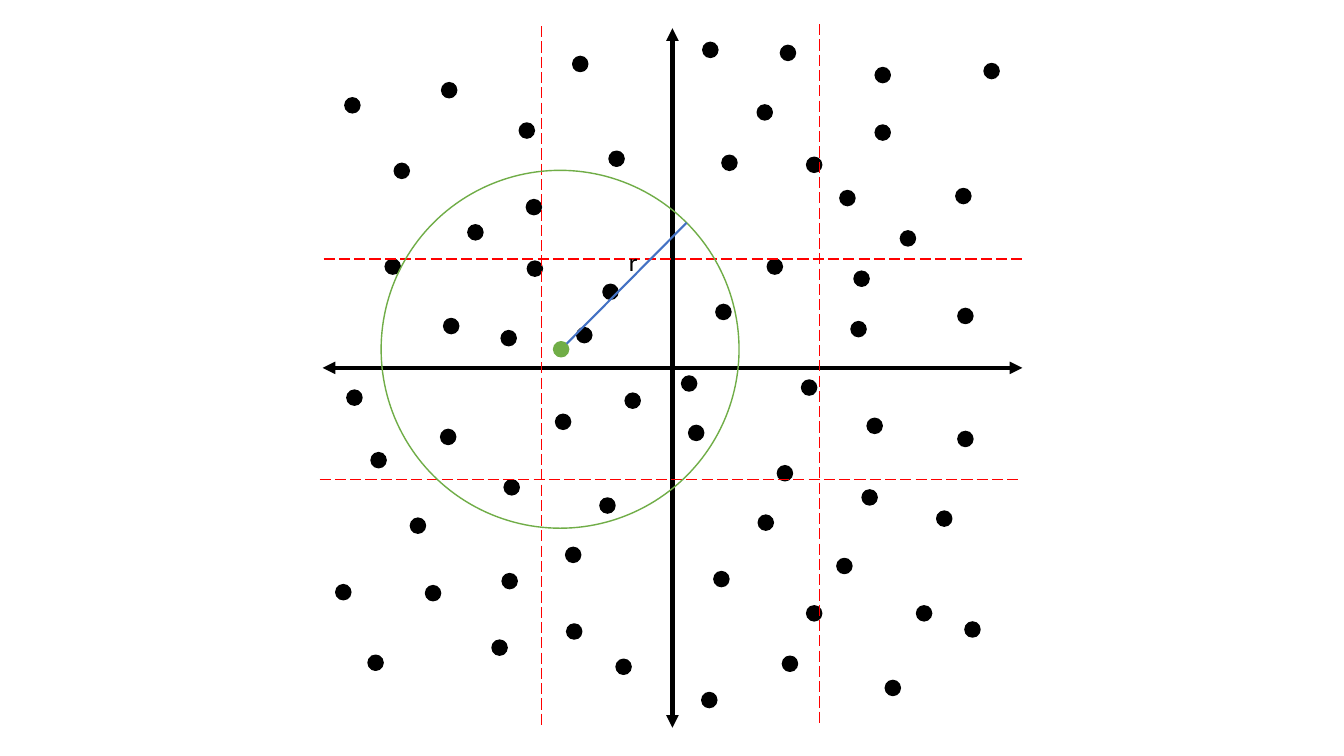
"""Build a slide showing a radius search around one point on a gridded plane."""
import pptx
import pptx.dml.color
import pptx.enum.dml
import pptx.enum.shapes
import pptx.enum.text
import pptx.oxml
import pptx.oxml.ns
import pptx.util

COLORS = {"ink": "000000", "split": "FF0000", "query": "70AD47", "radius": "4472C4"}
UNIT = 2.54
DOT = 0.15

AXES = [(6.67, 0.28, 6.67, 7.22), (3.2, 3.65, 10.14, 3.65)]
SPLITS = [
    (5.37, 0.26, 5.37, 7.2), (3.17, 4.76, 10.11, 4.76),
    (3.21, 2.57, 10.16, 2.57), (8.13, 0.24, 8.13, 7.18),
]
POINTS = [
    (5.68, 0.56), (3.42, 0.97), (5.15, 1.22), (3.91, 1.62), (3.82, 2.57),
    (5.22, 1.98), (4.64, 2.23), (5.98, 2.82), (4.4, 3.16), (5.23, 2.59),
    (4.97, 3.28), (5.72, 3.25), (6.04, 1.5), (6.97, 0.42), (7.74, 0.45),
    (7.16, 1.54), (9.76, 0.63), (8.68, 1.24), (7.1, 3.02), (8, 1.56),
    (7.61, 2.57), (8.33, 1.89), (8.44, 3.19), (9.48, 1.87), (8.47, 2.69),
    (8.93, 2.29), (7.51, 1.04), (8.68, 0.67), (9.5, 3.06), (3.44, 3.87),
    (4.38, 0.82), (5.51, 4.11), (3.33, 5.8), (3.68, 4.49), (4.37, 4.26),
    (5.95, 4.94), (4.22, 5.81), (4.07, 5.14), (5, 4.76), (4.88, 6.35),
    (5.61, 5.43), (3.65, 6.5), (6.2, 3.9), (4.98, 5.69), (5.62, 6.19),
    (6.11, 6.54), (6.76, 3.73), (6.83, 4.22), (7.95, 3.77), (7.08, 5.67),
    (9.5, 4.28), (7.52, 5.11), (8.6, 4.15), (7.71, 4.62), (7.76, 6.51),
    (9.29, 5.07), (8.3, 5.54), (8.78, 6.75), (9.09, 6.01), (8.55, 4.86),
    (9.57, 6.17), (6.96, 6.87), (8, 6.01),
]
QUERY = (5.49, 3.39)
CIRCLE = (3.78, 1.69, 3.55)
RADIUS = (5.62, 3.41, 6.81, 2.21)
LABEL = ("r", (6.14, 2.39, 0.26, 0.4))


def lengths(values):
    return [pptx.util.Cm(v * UNIT) for v in values]


def rgb(name):
    return pptx.dml.color.RGBColor.from_string(COLORS[name])


def add_line(shapes, ends, color, width):
    line = shapes.add_connector(pptx.enum.shapes.MSO_CONNECTOR.STRAIGHT, *lengths(ends))
    line.line.color.rgb = rgb(color)
    line.line.width = pptx.util.Pt(width)
    pptx.oxml.ns.qn("a:effectLst")
    line._element.spPr.append(line._element.spPr.makeelement(pptx.oxml.ns.qn("a:effectLst"), {}))
    return line


def add_arrowheads(line):
    ln = line.line._get_or_add_ln()
    for tag in ("a:headEnd", "a:tailEnd"):
        ln.append(ln.makeelement(pptx.oxml.ns.qn(tag), {"type": "triangle"}))


def add_circle(shapes, left, top, size, color, filled=True):
    sp = shapes.add_shape(pptx.enum.shapes.MSO_SHAPE.OVAL, *lengths((left, top, size, size)))
    sp.shadow.inherit = False
    if filled:
        sp.fill.solid()
        sp.fill.fore_color.rgb = rgb(color)
    else:
        sp.fill.background()
    sp.line.color.rgb = rgb(color)
    sp.line.width = pptx.util.Pt(1)


def add_label(shapes, text, box):
    sp = shapes.add_textbox(*lengths(box))
    tf = sp.text_frame
    tf.word_wrap = False
    tf.auto_size = pptx.enum.text.MSO_AUTO_SIZE.SHAPE_TO_FIT_TEXT
    tf.text = text
    r = tf.paragraphs[0].runs[0]
    r.font.name = "Calibri"
    r.font.size = pptx.util.Pt(18)
    r.font.color.rgb = rgb("ink")


def main():
    prs = pptx.Presentation()
    prs.slide_width, prs.slide_height = lengths((13.33, 7.5))
    slide = prs.slides.add_slide(prs.slide_layouts[6])

    axes = slide.shapes.add_group_shape().shapes
    for ends in AXES:
        add_arrowheads(add_line(axes, ends, "ink", 3))
    for left, top in POINTS:
        add_circle(slide.shapes, left, top, DOT, "ink")
    for ends in SPLITS:
        split = add_line(slide.shapes, ends, "split", 1)
        split.line.dash_style = pptx.enum.dml.MSO_LINE.LONG_DASH

    search = slide.shapes.add_group_shape().shapes
    add_circle(search, *QUERY, DOT, "query")
    add_circle(search, *CIRCLE, "query", filled=False)
    add_line(search, RADIUS, "radius", 1.5)
    add_label(search, *LABEL)
    prs.save("out.pptx")


if __name__ == "__main__":
    main()
